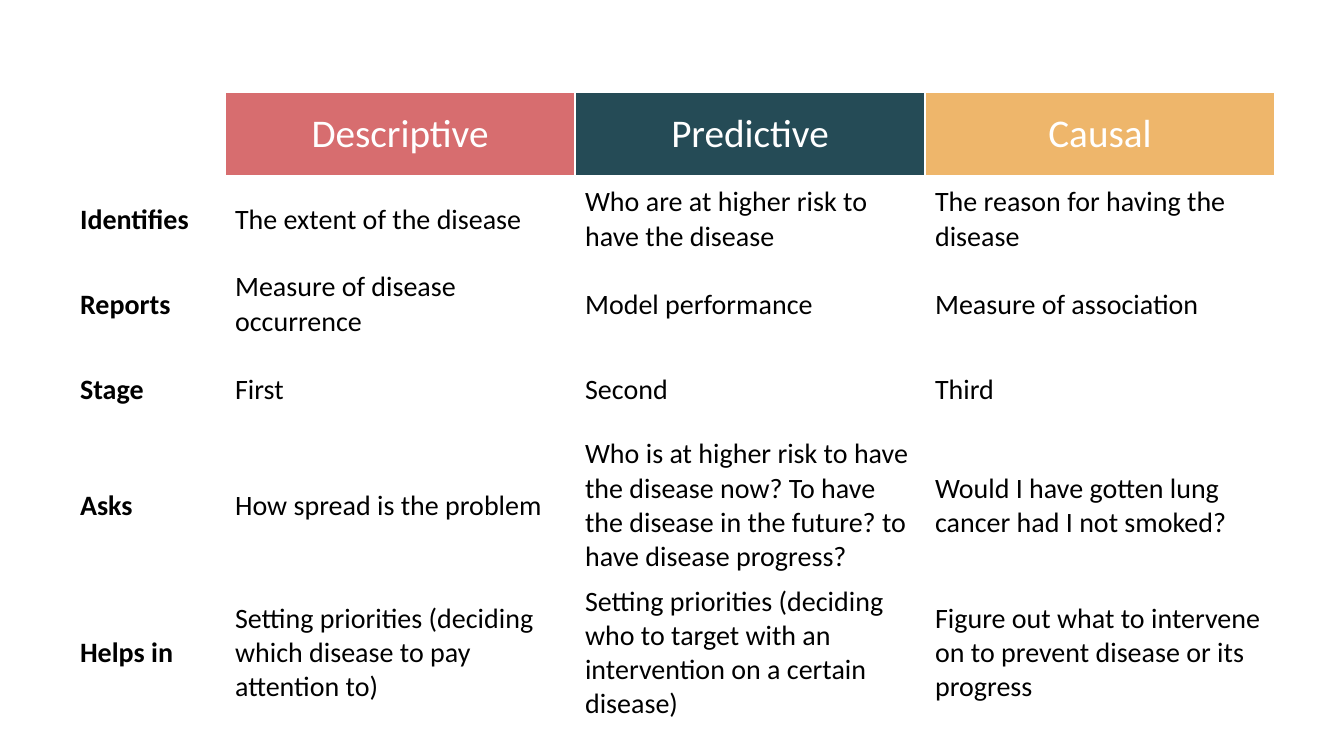
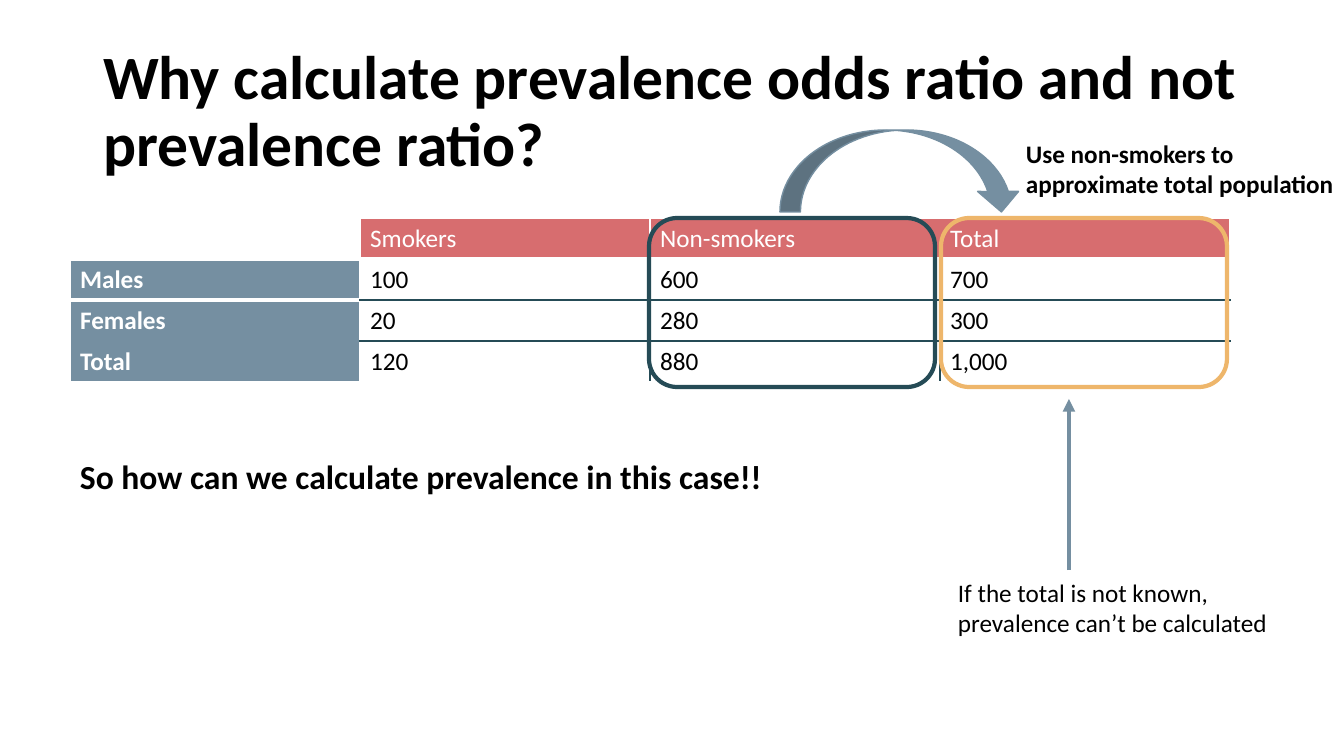
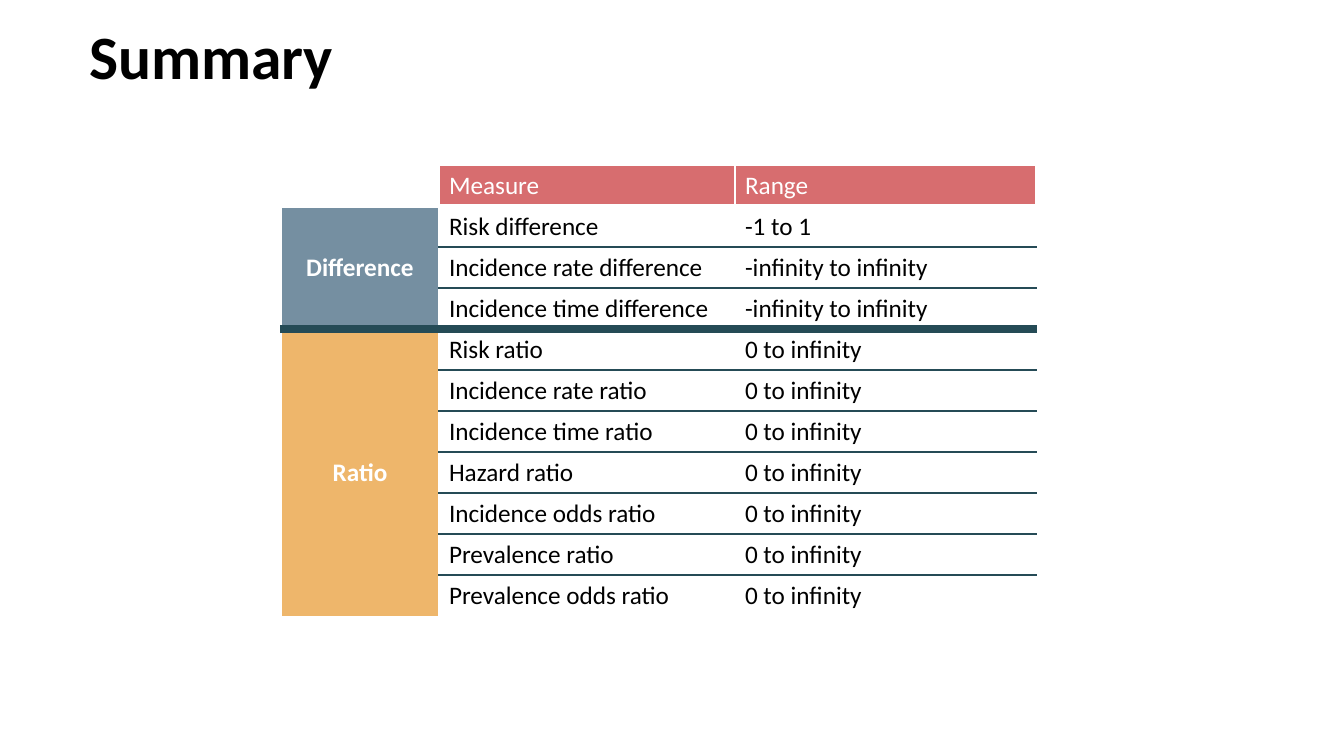
"""Builds three slides on epidemiological measures: question types, odds ratio and summary."""
from lxml import etree
from pptx import Presentation
from pptx import util as u
from pptx.dml.color import RGBColor
from pptx.enum import shapes, text
from pptx.oxml.ns import qn

PX = 9072
FONT = "Calibri"
WHITE, BLACK = "FFFFFF", "000000"
ROSE, TEAL, AMBER, SLATE = "D76D6F", "254B56", "EEB66B", "758FA1"
NO_GRID_STYLE = "{2D5ABB26-0587-4C30-8999-92F81FD0307C}"
rgb = RGBColor.from_string


def write(frame, words, size, colour=BLACK, bold=False, align=text.PP_ALIGN.LEFT):
    frame.text = words
    frame.word_wrap = True
    paragraph = frame.paragraphs[0]
    paragraph.alignment = align
    font = paragraph.runs[0].font
    font.name, font.size, font.bold = FONT, u.Pt(size), bold
    font.color.rgb = rgb(colour)
    return paragraph


def border(cell, **sides):
    props = cell._tc.get_or_add_tcPr()
    for side in "LRTB":
        if sides.get(side):
            colour, points = sides[side]
            line = etree.SubElement(props, qn(f"a:ln{side}"), w=str(u.Pt(points)))
            solid = etree.SubElement(line, qn("a:solidFill"))
            etree.SubElement(solid, qn("a:srgbClr"), val=colour)


deck = Presentation()
deck.slide_width, deck.slide_height = 1344 * PX, 756 * PX
title_only, blank = deck.slide_layouts[5], deck.slide_layouts[6]
questions = deck.slides.add_slide(blank)
odds = deck.slides.add_slide(title_only)
summary = deck.slides.add_slide(title_only)

for slide, words, place in (
    (odds, "Why calculate prevalence odds ratio and not prevalence ratio?", (93, 40, 1159, 146)),
    (summary, "Summary", (79, 7, 1159, 106)),
):
    title = slide.shapes.title
    title.left, title.top, title.width, title.height = (n * PX for n in place)
    heading = write(title.text_frame, words, 44, bold=True)
    heading.line_spacing = 0.9
    title.text_frame.vertical_anchor = text.MSO_ANCHOR.MIDDLE
    title.text_frame.auto_size = text.MSO_AUTO_SIZE.NONE

question_rows = [
    ["", "Descriptive", "Predictive", "Causal"],
    ["Identifies", "The extent of the disease", "Who are at higher risk to have the disease",
     "The reason for having the disease"],
    ["Reports", "Measure of disease occurrence", "Model performance", "Measure of association"],
    ["Stage", "First", "Second", "Third"],
    ["Asks", "How spread is the problem",
     "Who is at higher risk to have the disease now? To have the disease in the future? "
     "to have disease progress?",
     "Would I have gotten lung cancer had I not smoked?"],
    ["Helps in", "Setting priorities (deciding which disease to pay attention to)",
     "Setting priorities (deciding who to target with an intervention on a certain disease)",
     "Figure out what to intervene on to prevent disease or its progress"],
]
smoking_rows = [
    ["", "Smokers", "Non-smokers", "Total"],
    ["Males", "100", "600", "700"],
    ["Females", "20", "280", "300"],
    ["Total", "120", "880", "1,000"],
]
measure_rows = [
    ["", "Measure", "Range"],
    ["Difference", "Risk difference", "-1 to 1"],
    ["", "Incidence rate difference", "-infinity to infinity"],
    ["", "Incidence time difference", "-infinity to infinity"],
    ["Ratio", "Risk ratio", "0 to infinity"],
]
measure_rows += [
    ["", measure, "0 to infinity"]
    for measure in ("Incidence rate ratio", "Incidence time ratio", "Hazard ratio",
                    "Incidence odds ratio", "Prevalence ratio", "Prevalence odds ratio")
]

edge, header_edge = (WHITE, 1), (WHITE, 3)
rule, divider = (TEAL, 1), (TEAL, 6)
grids = [
    dict(slide=questions, rows=question_rows, corner=(70, 92), widths=[155] + [350] * 3,
         row_height=85, sizes=(28, 20), heads=[None, ROSE, TEAL, AMBER], sides=[None] * 6,
         edges=[edge, header_edge] + [edge] * 5, gap=edge, head_gap=edge, centred="head", spans=[]),
    dict(slide=odds, rows=smoking_rows, corner=(70, 218), widths=[290] * 4,
         row_height=41, sizes=(18, 18), heads=[None] + [ROSE] * 3, sides=[None] + [SLATE] * 3,
         edges=[edge, header_edge, rule, rule, edge], gap=rule, head_gap=None, centred="", spans=[]),
    dict(slide=summary, rows=measure_rows, corner=(281, 165), widths=[158, 296, 301],
         row_height=41, sizes=(18, 18), heads=[None, ROSE, ROSE],
         sides=[None] + [SLATE] * 3 + [AMBER] * 7,
         edges=[edge, header_edge, rule, rule, divider] + [rule] * 6 + [edge],
         gap=edge, head_gap=None, centred="side", spans=[(1, 3), (4, 10)]),
]

for grid in grids:
    rows, widths, sides, edges = grid["rows"], grid["widths"], grid["sides"], grid["edges"]
    left, top = grid["corner"]
    height = grid["row_height"]
    table = grid["slide"].shapes.add_table(
        len(rows), len(widths), left * PX, top * PX, sum(widths) * PX, height * len(rows) * PX
    ).table
    table.first_row = table.horz_banding = False
    table._tbl.tblPr[0].text = NO_GRID_STYLE
    for column, width in zip(table.columns, widths):
        column.width = width * PX
    last = len(widths) - 1
    for r, row in enumerate(rows):
        table.rows[r].height = height * PX
        for c, words in enumerate(row):
            cell = table.cell(r, c)
            cell.vertical_anchor = text.MSO_ANCHOR.MIDDLE
            part = "head" if r == 0 else "side" if c == 0 else "body"
            fill = {"head": grid["heads"][c], "side": sides[r], "body": None}[part]
            gap = grid["head_gap"] if part == "head" else grid["gap"]
            block_start = part != "side" or sides[r] != sides[r - 1]
            block_end = part != "side" or sides[r] != (sides + [WHITE])[r + 1]
            border(cell,
                   L=edge if c < 2 else gap,
                   R=edge if c in (0, last) else gap,
                   T=edges[r] if block_start else None,
                   B=edges[r + 1] if block_end else None)
            if fill:
                cell.fill.solid()
                cell.fill.fore_color.rgb = rgb(fill)
            else:
                cell.fill.background()
            if words:
                align = text.PP_ALIGN.CENTER if part == grid["centred"] else text.PP_ALIGN.LEFT
                write(cell.text_frame, words, grid["sizes"][r > 0],
                      WHITE if fill else BLACK, part == "side", align)
    for first, final in grid["spans"]:
        table.cell(first, 0).merge(table.cell(final, 0))

for left, colour in ((941, AMBER), (649, TEAL)):
    outline = odds.shapes.add_shape(
        shapes.MSO_SHAPE.ROUNDED_RECTANGLE, *(n * PX for n in (left, 218, 286, 169)))
    outline.shadow.inherit = False
    outline.fill.background()
    outline.line.color.rgb = rgb(colour)
    outline.line.width = u.Pt(3)

pointer = odds.shapes.add_connector(
    shapes.MSO_CONNECTOR.STRAIGHT, *(n * PX for n in (1069, 570, 1069, 399)))
pointer.line.color.rgb = rgb(SLATE)
pointer.line.width = u.Pt(3)
etree.SubElement(pointer.line._get_or_add_ln(), qn("a:tailEnd"), type="triangle")
etree.SubElement(pointer._element.spPr, qn("a:effectLst"))

swap = odds.shapes.add_shape(
    shapes.MSO_SHAPE.CURVED_RIGHT_ARROW, *(n * PX for n in (860, 50, 82, 242)))
swap.rotation = 270
swap._element.spPr.xfrm.set("flipH", "1")
swap.shadow.inherit = False
swap.fill.solid()
swap.fill.fore_color.rgb = swap.line.color.rgb = rgb(SLATE)
swap.line.width = u.Pt(1)

for words, place, size, bold in (
    ("If the total is not known, prevalence can’t be calculated", (948, 572, 344, 72), 18, False),
    ("So how can we calculate prevalence in this case!!", (70, 451, 759, 50), 24, True),
    ("Use non-smokers to approximate total population", (1016, 133, 344, 72), 18, True),
):
    remark = odds.shapes.add_textbox(*(n * PX for n in place))
    write(remark.text_frame, words, size, bold=bold)

deck.save("out.pptx")
